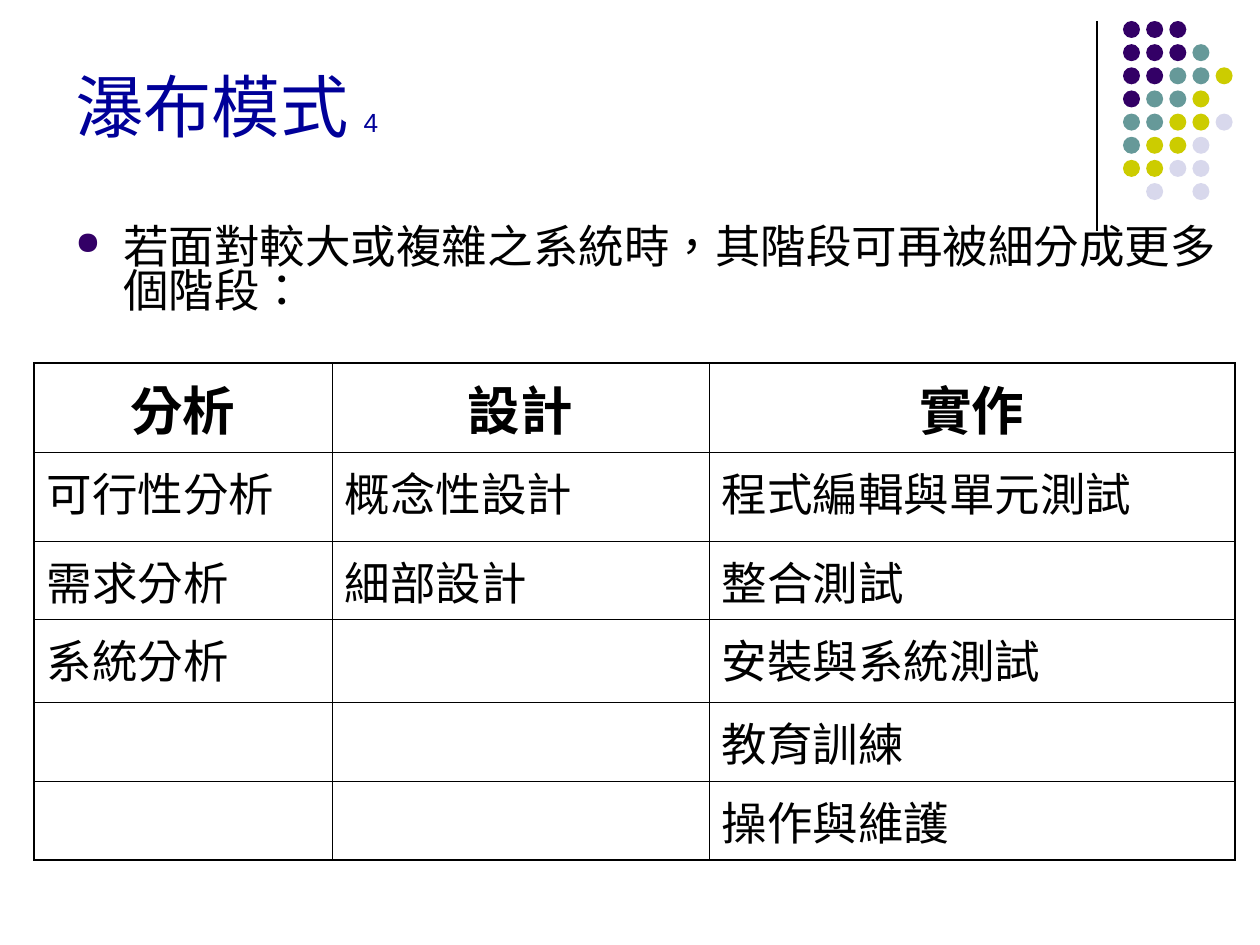
from lxml import etree
from pptx import Presentation
from pptx.dml.color import RGBColor
from pptx.enum.shapes import MSO_CONNECTOR, MSO_SHAPE
from pptx.enum.text import MSO_ANCHOR, PP_ALIGN
from pptx.oxml.ns import qn
from pptx.util import Pt

LINE, OVAL = MSO_CONNECTOR.STRAIGHT, MSO_SHAPE.OVAL
TOP, MIDDLE = MSO_ANCHOR.TOP, MSO_ANCHOR.MIDDLE
LEFT, CENTER = PP_ALIGN.LEFT, PP_ALIGN.CENTER

BLACK = RGBColor(0x00, 0x00, 0x00)
NAVY = RGBColor(0x00, 0x00, 0x99)
PURPLE = RGBColor(0x33, 0x00, 0x66)
TEAL = RGBColor(0x66, 0x99, 0x99)
OLIVE = RGBColor(0xCC, 0xCC, 0x00)
LAVENDER = RGBColor(0xD8, 0xD8, 0xEC)

LATIN, EAST_ASIAN = "Arial", "Noto Sans CJK SC"
TITLE = [("瀑布模式 ", 39), ("4", 15)]
BODY = "若面對較大或複雜之系統時，其階段可再被細分成更多個階段："
STAGES = [
    ("分析", "設計", "實作"),
    ("可行性分析", "概念性設計", "程式編輯與單元測試"),
    ("需求分析", "細部設計", "整合測試"),
    ("系統分析", "", "安裝與系統測試"),
    ("", "", "教育訓練"),
    ("", "", "操作與維護"),
]
COLUMN_WIDTHS = [298, 377, 526]
ROW_HEIGHTS = [89, 89, 78, 83, 79, 79]
OUTER_BORDER, INNER_BORDER = Pt(1.08), Pt(0.45)

DOT_COLORS = {"P": PURPLE, "T": TEAL, "O": OLIVE, "L": LAVENDER}
DOT_ROWS = ["PPP", "PPPT", "PPTTO", "PTTO", "TTOOL", "TOOL", "OOLL", "-L-L"]
DOT_LEFT, DOT_TOP, DOT_SIZE, DOT_STEP = 1123, 21, 17, 23.15


def px(value):
    return round(value * 914400 / 126)


def add_span(para, text, **formats):
    span = para.add_run()
    span.text = text
    span.font.name = LATIN
    color = formats.pop("color", BLACK)
    for name, value in formats.items():
        setattr(span.font, name, value)
    span.font.color.rgb = color
    properties = span.font._element
    properties.set("lang", "zh-TW")
    east_asian = etree.Element(qn("a:ea"), typeface=EAST_ASIAN)
    properties.find(qn("a:latin")).addnext(east_asian)


def add_box(page, left, top, width, height, anchor):
    box = page.shapes.add_textbox(px(left), px(top), px(width), px(height))
    box.text_frame.word_wrap = True
    box.text_frame.vertical_anchor = anchor
    return box.text_frame.paragraphs[0]


def add_bullet(para, indent):
    properties = para._p.get_or_add_pPr()
    properties.set("marL", str(px(indent)))
    properties.set("indent", str(-px(indent)))
    color = etree.SubElement(properties, qn("a:buClr"))
    etree.SubElement(color, qn("a:srgbClr"), val=str(PURPLE))
    etree.SubElement(properties, qn("a:buSzPct"), val="70000")
    etree.SubElement(properties, qn("a:buChar"), char="●")


def add_dots(page):
    for row, codes in enumerate(DOT_ROWS):
        for column, code in enumerate(codes):
            if code not in DOT_COLORS:
                continue
            dot = page.shapes.add_shape(
                OVAL, px(DOT_LEFT + column * DOT_STEP), px(DOT_TOP + row * DOT_STEP),
                px(DOT_SIZE), px(DOT_SIZE))
            dot.shadow.inherit = False
            dot.fill.solid()
            dot.fill.fore_color.rgb = DOT_COLORS[code]
            dot.line.fill.background()


def set_borders(cell, outer_sides):
    """Draw all four sides, thicker on those that lie on the table's edge."""
    properties = cell._tc.get_or_add_tcPr()
    for side, is_outer in outer_sides.items():
        width = OUTER_BORDER if is_outer else INNER_BORDER
        border = etree.SubElement(properties, qn(f"a:ln{side}"), w=str(width))
        fill = etree.SubElement(border, qn("a:solidFill"))
        etree.SubElement(fill, qn("a:srgbClr"), val=str(BLACK))


def add_stage_table(page, left, top):
    rows, columns = len(ROW_HEIGHTS), len(COLUMN_WIDTHS)
    table = page.shapes.add_table(
        rows, columns, px(left), px(top),
        px(sum(COLUMN_WIDTHS)), px(sum(ROW_HEIGHTS))).table
    table.first_row = table.horz_banding = False
    for column, width in zip(table.columns, COLUMN_WIDTHS):
        column.width = px(width)
    for row, height in zip(table.rows, ROW_HEIGHTS):
        row.height = px(height)
    for r, texts in enumerate(STAGES):
        is_header = r == 0
        for c, text in enumerate(texts):
            cell = table.cell(r, c)
            set_borders(cell, {"L": c == 0, "R": c == columns - 1,
                               "T": is_header, "B": r == rows - 1})
            cell.fill.background()
            para = cell.text_frame.paragraphs[0]
            para.alignment = CENTER if is_header else LEFT
            if text:
                add_span(para, text, size=Pt(30 if is_header else 26), bold=is_header)


def main():
    deck = Presentation()
    deck.slide_width, deck.slide_height = px(1260), px(945)
    page = deck.slides.add_slide(deck.slide_layouts[6])

    rule = page.shapes.add_connector(LINE, px(1097), px(21), px(1097), px(231))
    rule.line.color.rgb = BLACK
    rule.line.width = Pt(0.75)
    etree.SubElement(rule._element.spPr, qn("a:effectLst"))
    add_dots(page)

    title = add_box(page, 63, 16, 1023, 178, MIDDLE)
    for text, size in TITLE:
        add_span(title, text, size=Pt(size), color=NAVY)

    body = add_box(page, 63, 221, 1172, 624, TOP)
    add_bullet(body, 48)
    body.line_spacing = 0.82
    add_span(body, BODY, size=Pt(26))

    add_stage_table(page, 34, 363)
    deck.save("out.pptx")


if __name__ == "__main__":
    main()
